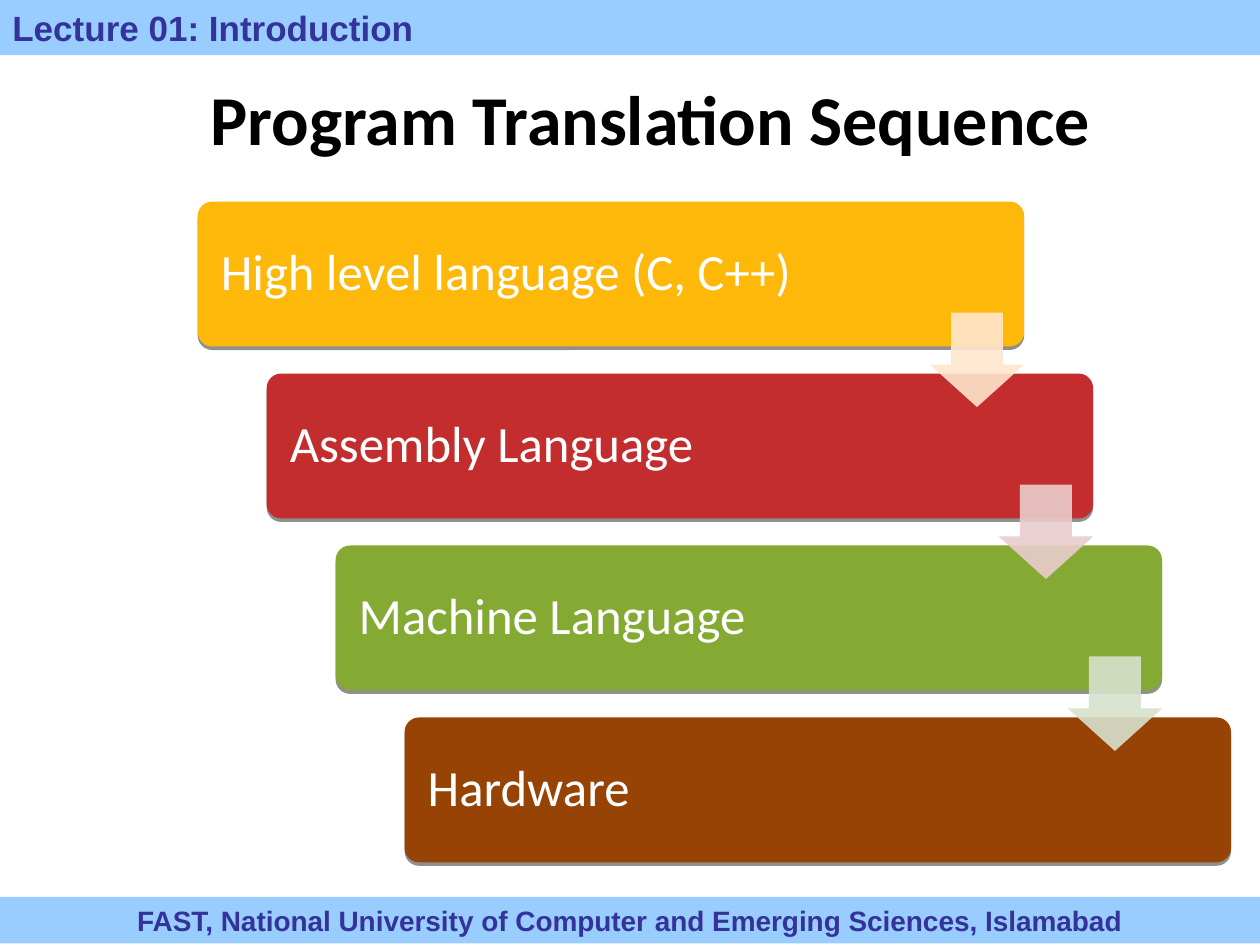
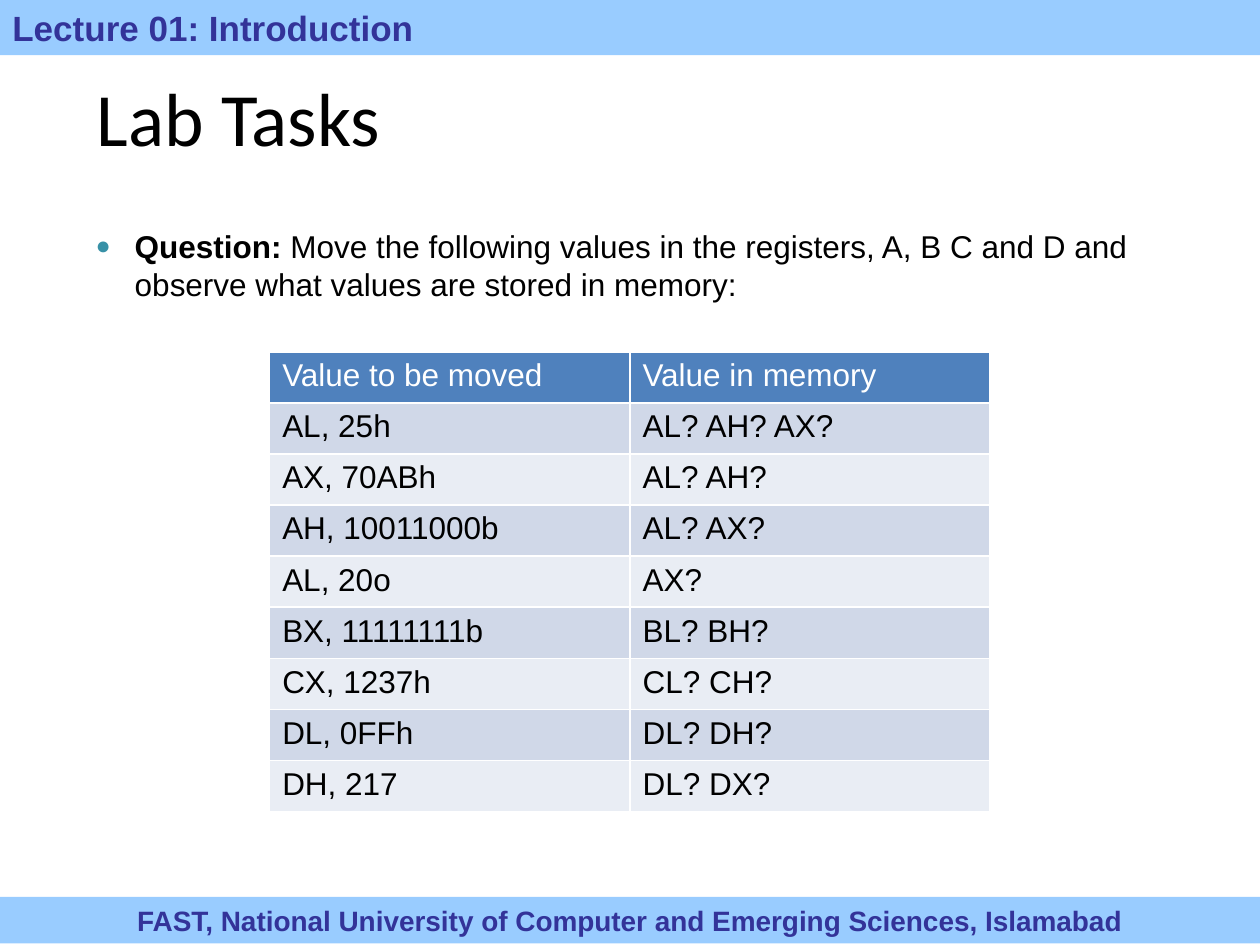
"""Build two lecture slides: a translation staircase and a lab task table."""
import pptx
import pptx.dml.color
import pptx.enum.shapes
import pptx.enum.text
import pptx.oxml
import pptx.oxml.ns
import pptx.util

HEAD = "Lecture 01: Introduction"
FOOT = "FAST, National University of Computer and Emerging Sciences, Islamabad"
STEPS = [
    ("High level language (C, C++)", "FEB80A", "FEE6CC"),
    ("Assembly Language", "C32D2E", "E9CDCD"),
    ("Machine Language", "84AA33", "D8E1CD"),
    ("Hardware", "964305", None),
]
TASK = [
    ("Question: ", True),
    ("Move the following values in the registers, A, B C and D and "
     "observe what values are stored in memory:", False),
]
ROWS = [
    ("Value to be moved", "Value in memory"),
    ("AL, 25h", "AL? AH? AX?"),
    ("AX, 70ABh", "AL? AH?"),
    ("AH, 10011000b", "AL? AX?"),
    ("AL, 20o", "AX?"),
    ("BX, 11111111b", "BL? BH?"),
    ("CX, 1237h", "CL? CH?"),
    ("DL, 0FFh", "DL? DH?"),
    ("DH, 217", "DL? DX?"),
]

Pt = pptx.util.Pt
Form = pptx.enum.shapes.MSO_SHAPE
Align = pptx.enum.text.PP_ALIGN
Anchor = pptx.enum.text.MSO_ANCHOR


class Theme:
    """Colours, fonts and type sizes."""
    band, navy = "99CCFF", "333399"
    ink, white = "000000", "FFFFFF"
    dot, top = "3891A7", "4F81BD"
    stripes = ("E9EDF4", "D0D8E8")
    sans, head = "Arial", "Calibri"
    small, text, lead, step, title, large = 16, 18, 20, 29, 40, 43


def rgb(code):
    """Turn a hex code into a colour."""
    return pptx.dml.color.RGBColor.from_string(code)


def add_xml(parent, code):
    """Append a DrawingML fragment and return it."""
    space = pptx.oxml.ns.nsdecls("a")
    node = pptx.oxml.parse_xml(code.replace(" ", f" {space} ", 1))
    parent.append(node)
    return node


def write(para, text, size, font, color, bold=False):
    """Add one formatted run."""
    run = para.add_run()
    run.text = text
    run.font.size, run.font.name, run.font.bold = Pt(size), font, bold
    run.font.color.rgb = rgb(color)


def place(shape, left, top, width, height):
    """Move and size a shape, in points."""
    shape.left, shape.top = Pt(left), Pt(top)
    shape.width, shape.height = Pt(width), Pt(height)


def draw(slide, form, box, color):
    """Add a plain filled shape."""
    shape = slide.shapes.add_shape(form, *map(Pt, box))
    shape.shadow.inherit = False
    shape.fill.solid()
    shape.fill.fore_color.rgb = rgb(color)
    shape.line.fill.background()
    return shape


def add_band(slide, top, height, text, size, align):
    """Add a full-width band with text."""
    band = draw(slide, Form.RECTANGLE, (0, top, 720, height), Theme.band)
    band.text_frame.vertical_anchor = Anchor.TOP
    para = band.text_frame.paragraphs[0]
    para.alignment = align
    write(para, text, size, Theme.sans, Theme.navy, True)


def add_slide(deck, layout, title, box, size, bold):
    """Add a slide with both bands and a title."""
    slide = deck.slides.add_slide(deck.slide_layouts[layout])
    add_band(slide, 512.6, 26.6, FOOT, Theme.small, Align.CENTER)
    add_band(slide, 0, 31.5, HEAD, Theme.lead, Align.LEFT)
    place(slide.shapes.title, *box)
    frame = slide.shapes.title.text_frame
    frame.auto_size = pptx.enum.text.MSO_AUTO_SIZE.NONE
    frame.vertical_anchor = Anchor.MIDDLE
    para = frame.paragraphs[0]
    para.alignment = Align.LEFT
    write(para, title, size, Theme.head, Theme.ink, bold)
    return slide


def add_steps(slide):
    """Draw the staircase of boxes, then its arrows."""
    left, top, width, height, side = 113, 115.2, 472.3, 82.8, 54
    spots = [(left + 39.4 * i, top + 98.25 * i) for i in range(len(STEPS))]
    for (text, color, _), (x, y) in zip(STEPS, spots):
        box = draw(slide, Form.ROUNDED_RECTANGLE, (x, y, width, height), color)
        box.adjustments[0] = 0.1
        glow = box._element.spPr.find(pptx.oxml.ns.qn("a:effectLst"))
        add_xml(glow, '<a:outerShdw blurRad="0" dist="25400" dir="5400000" '
                f'rotWithShape="0"><a:srgbClr val="{Theme.ink}">'
                '<a:alpha val="44000"/></a:srgbClr></a:outerShdw>')
        frame = box.text_frame
        frame.vertical_anchor = Anchor.MIDDLE
        frame.margin_left = frame.margin_top = frame.margin_bottom = Pt(10.8)
        frame.margin_right = Pt(8.64)
        para = frame.paragraphs[0]
        para.alignment, para.line_spacing = Align.LEFT, 0.9
        write(para, text, Theme.step, Theme.head, Theme.white)
    for (_, _, tint), (x, y) in zip(STEPS[:-1], spots):
        spot = (x + width - side, y + 63.4, side, side)
        arrow = draw(slide, Form.DOWN_ARROW, spot, tint)
        arrow.adjustments[0], arrow.adjustments[1] = 0.55, 0.45
        fill = arrow._element.spPr.find(pptx.oxml.ns.qn("a:solidFill"))
        add_xml(fill[0], '<a:alpha val="90000"/>')


def add_task(slide):
    """Write the bulleted question."""
    body = slide.placeholders[1]
    place(body, 41, 126, 642.2, 383.8)
    body.text_frame.auto_size = pptx.enum.text.MSO_AUTO_SIZE.NONE
    para = body.text_frame.paragraphs[0]
    props = para._p.get_or_add_pPr()
    props.set("marL", str(Pt(28.8)))
    props.set("indent", str(Pt(-22.3)))
    add_xml(props, f'<a:buClr ><a:srgbClr val="{Theme.dot}"/></a:buClr>')
    add_xml(props, '<a:buSzPct val="80000"/>')
    add_xml(props, f'<a:buFont typeface="{Theme.sans}"/>')
    add_xml(props, '<a:buChar char="●"/>')
    for text, bold in TASK:
        write(para, text, Theme.text, Theme.sans, Theme.ink, bold)


def add_grid(slide):
    """Add the table of values."""
    width, height = 411.8, 29.2
    grid = slide.shapes.add_table(
        len(ROWS), len(ROWS[0]), Pt(154.1), Pt(201),
        Pt(width), Pt(height * len(ROWS))).table
    for i, row in enumerate(ROWS):
        fill = Theme.stripes[i % 2] if i else Theme.top
        ink = Theme.ink if i else Theme.white
        for j, text in enumerate(row):
            cell = grid.cell(i, j)
            props = cell._tc.get_or_add_tcPr()
            for edge in "LRTB":
                add_xml(props, f'<a:ln{edge} w="12700"><a:solidFill>'
                        f'<a:srgbClr val="{Theme.white}"/>'
                        f'</a:solidFill></a:ln{edge}>')
            cell.fill.solid()
            cell.fill.fore_color.rgb = rgb(fill)
            write(cell.text_frame.paragraphs[0], text,
                  Theme.text, Theme.sans, ink)


def main():
    """Build and save the deck."""
    deck = pptx.Presentation()
    deck.slide_width, deck.slide_height = Pt(720), Pt(540)
    add_steps(add_slide(deck, 5, "Program Translation Sequence",
                        (113, 22.3, 590.4, 90), Theme.title, True))
    lab = add_slide(deck, 1, "Lab Tasks",
                    (48.2, 21.6, 618.5, 90), Theme.large, False)
    add_task(lab)
    add_grid(lab)
    deck.save("out.pptx")


if __name__ == "__main__":
    main()
